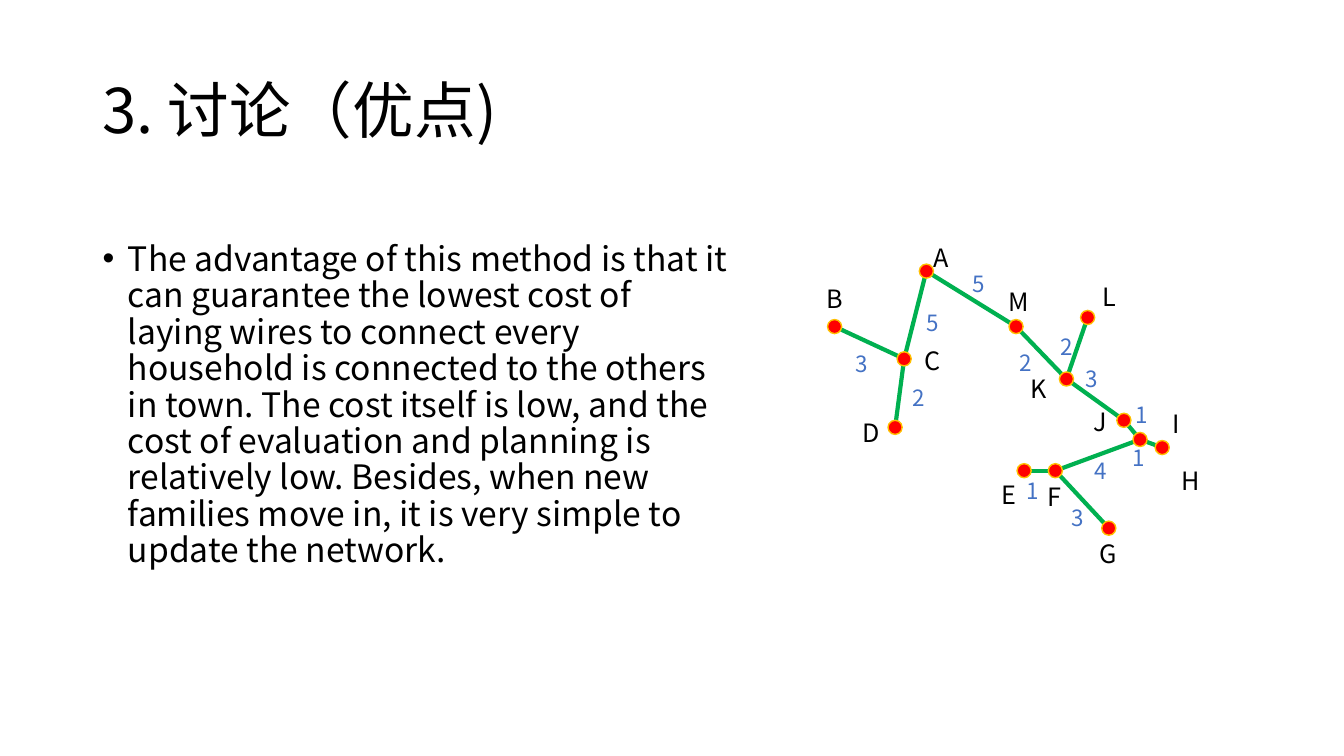
"""Build the discussion slide: advantages of a minimum spanning tree, on a grid of tenth-inch cells."""
from typing import NamedTuple

from lxml import etree
from pptx import Presentation, util as u
from pptx.dml.color import RGBColor
from pptx.enum import shapes, text
from pptx.oxml.ns import qn

COLUMNS, ROWS = 133.33, 75
CELL = u.Inches(0.1)
DOT = 1.4
LABEL_WIDTH = 7.7
FONT = "Noto Sans CJK SC"
COLORS = {
    "ink": "000000",
    "cost": "4472C4",
    "wire": "00B050",
    "house": "FF0000",
    "rim": "FFC000",
}
TITLE = "3. 讨论（优点)"
ADVANTAGE = (
    "The advantage of this method is that it can guarantee the lowest cost of "
    "laying wires to connect every household is connected to the others in town. "
    "The cost itself is low, and the cost of evaluation and planning is relatively low. "
    "Besides, when new families move in, it is very simple to update the network."
)


class House(NamedTuple):
    """A household dot by its centre, with the corner of its name label."""
    name: str
    col: float
    row: float
    label_col: float
    label_row: float
    label_width: float = LABEL_WIDTH


class Wire(NamedTuple):
    """A wire between two households, with the corner of its cost label."""
    start: str
    end: str
    cost: int
    label_col: float
    label_row: float
    label_width: float = LABEL_WIDTH


HOUSES = [
    House("A", 91.9, 26.9, 91.6, 23.5),
    House("B", 82.8, 32.4, 81, 27.6, 3.1),
    House("C", 89.7, 35.6, 90.7, 33.8),
    House("D", 88.8, 42.4, 84.6, 40.9, 2.7),
    House("E", 101.6, 46.7, 98.4, 47.1),
    House("F", 104.7, 46.7, 102.9, 47.3, 3.2),
    House("G", 110, 52.4, 108.1, 52.9),
    House("H", 115.3, 44.4, 116.2, 45.7),
    House("I", 113.1, 43.6, 115.3, 40),
    House("J", 111.5, 41.7, 107.5, 39.8, 1.6),
    House("K", 105.8, 37.6, 101.3, 36.5, 3),
    House("L", 107.9, 31.5, 108.4, 27.4),
    House("M", 100.8, 32.4, 99.1, 27.9, 4.1),
]
WIRES = [
    Wire("A", "C", 5, 90.9, 30.2),
    Wire("B", "C", 3, 83.9, 34.2),
    Wire("C", "D", 2, 89.5, 37.6),
    Wire("A", "M", 5, 95.5, 26.3),
    Wire("M", "K", 2, 100.2, 34.1, 2.8),
    Wire("L", "K", 2, 104.2, 32.6, 3.8),
    Wire("K", "J", 3, 106.7, 35.7),
    Wire("J", "I", 1, 111.7, 39.3),
    Wire("I", "H", 1, 111.4, 43.6),
    Wire("I", "F", 4, 107.6, 44.9),
    Wire("E", "F", 1, 100.9, 46.8, 2.3),
    Wire("F", "G", 3, 105.3, 49.5, 2),
]


def cells(count: float) -> int:
    """Convert grid cells to slide units."""
    return round(count * CELL)


def color(key: str) -> RGBColor:
    """Look up a palette colour."""
    return RGBColor.from_string(COLORS[key])


def write(slide, words: str, col: float, row: float, width: float, height: float,
          size: float, ink: str = "ink"):
    """Add a text box with one run and return its frame and paragraph."""
    frame = slide.shapes.add_textbox(*map(cells, (col, row, width, height))).text_frame
    frame.word_wrap = True
    paragraph = frame.paragraphs[0]
    run = paragraph.add_run()
    run.text = words
    run.font.size = u.Pt(size)
    run.font.name = FONT
    run.font.color.rgb = color(ink)
    etree.SubElement(run.font._element, qn("a:ea"), typeface=FONT)
    return frame, paragraph


def write_title(slide) -> None:
    """Write the heading, centred vertically in its band."""
    frame, heading = write(slide, TITLE, 9.2, 4, 115, 14.5, 44)
    frame.vertical_anchor = text.MSO_ANCHOR.MIDDLE
    heading.line_spacing = 0.9


def write_advantage(slide) -> None:
    """Write the bulleted argument."""
    _, argument = write(slide, ADVANTAGE, 9.2, 23.5, 64.5, 47.6, 24)
    argument.line_spacing = u.Pt(26)
    properties = argument._p.get_or_add_pPr()
    properties.set("marL", str(cells(2.5)))
    properties.set("indent", str(-cells(2.5)))
    etree.SubElement(properties, qn("a:buFont"), typeface="Arial")
    etree.SubElement(properties, qn("a:buChar"), char="•")


def write_label(slide, words: str, col: float, row: float, width: float,
                size: float, ink: str) -> None:
    """Write a household name or a wire cost."""
    frame, label = write(slide, words, col, row, width, 4, size, ink)
    frame.margin_right = 0
    label.line_spacing = u.Pt(round(1.2 * size, 1))


def draw_wire(slide, start: House, end: House) -> None:
    """Join the centres of two households."""
    wire = slide.shapes.add_connector(
        shapes.MSO_CONNECTOR.STRAIGHT,
        *map(cells, (start.col, start.row, end.col, end.row)))
    wire.line.color.rgb = color("wire")
    wire.line.width = u.Pt(3)
    etree.SubElement(wire._element.spPr, qn("a:effectLst"))


def draw_house(slide, house: House) -> None:
    """Draw a household dot around its centre."""
    dot = slide.shapes.add_shape(
        shapes.MSO_SHAPE.OVAL,
        *map(cells, (house.col - DOT / 2, house.row - DOT / 2, DOT, DOT)))
    dot.shadow.inherit = False
    dot.fill.solid()
    dot.fill.fore_color.rgb = color("house")
    dot.line.color.rgb = color("rim")
    dot.line.width = u.Pt(1)


def main() -> None:
    """Assemble and save the slide."""
    deck = Presentation()
    deck.slide_width, deck.slide_height = cells(COLUMNS), cells(ROWS)
    slide = deck.slides.add_slide(deck.slide_layouts[6])
    write_title(slide)
    write_advantage(slide)
    town = {house.name: house for house in HOUSES}
    for wire in WIRES:
        draw_wire(slide, town[wire.start], town[wire.end])
    for house in HOUSES:
        draw_house(slide, house)
        write_label(slide, house.name, house.label_col, house.label_row,
                    house.label_width, 18, "ink")
    for wire in WIRES:
        write_label(slide, str(wire.cost), wire.label_col, wire.label_row,
                    wire.label_width, 16, "cost")
    deck.save("out.pptx")


if __name__ == "__main__":
    main()
